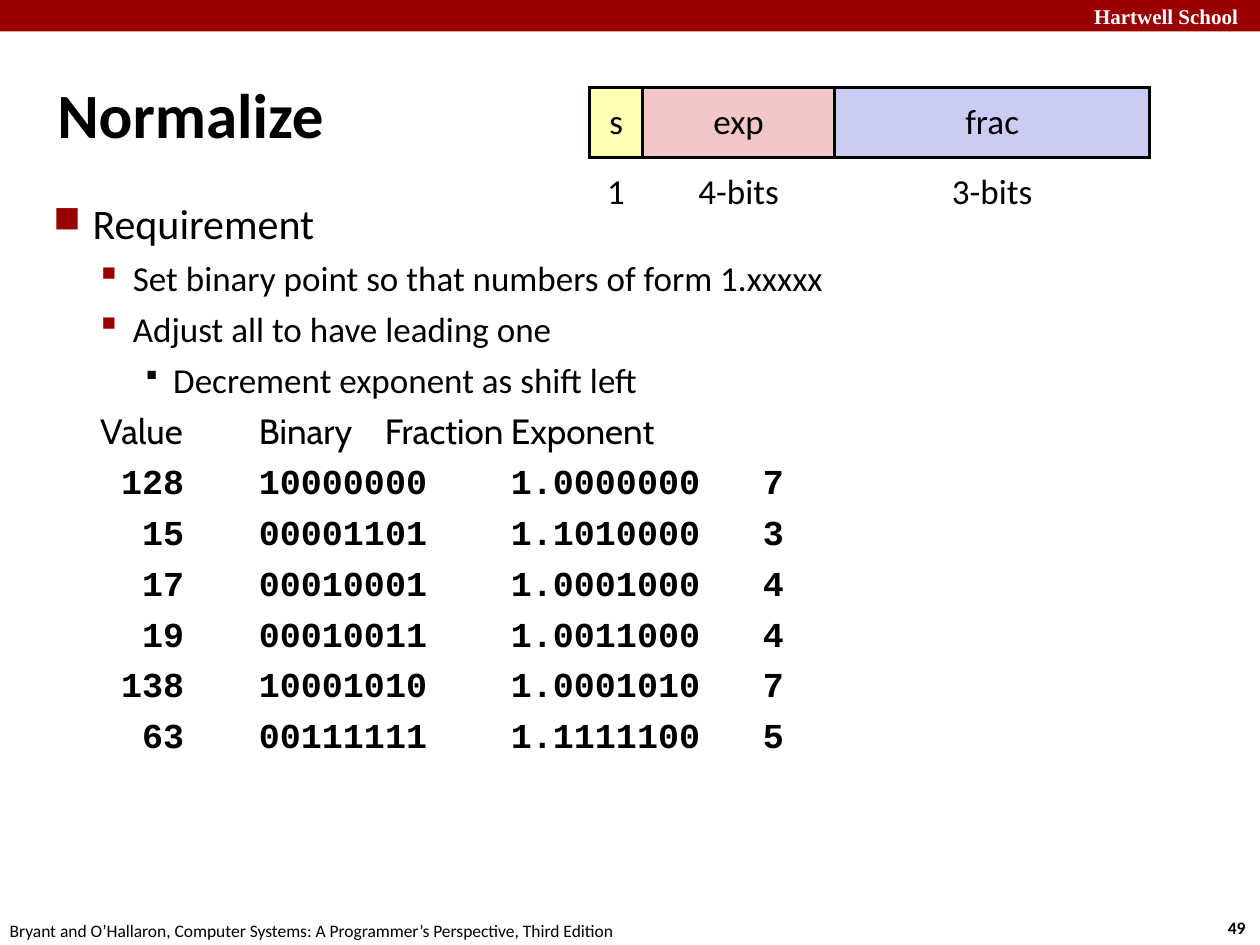
from dataclasses import dataclass
from typing import Optional

from lxml.etree import SubElement
from pptx import Presentation
from pptx.dml.color import RGBColor
from pptx.enum.shapes import MSO_SHAPE
from pptx.enum.text import MSO_ANCHOR, MSO_AUTO_SIZE, PP_ALIGN
from pptx.oxml.ns import qn
from pptx.util import Inches, Pt

WIDE, HIGH = Inches(10), Inches(7.5)
INK = {"black": "000000", "white": "FFFFFF", "red": "990000",
       "sign": "FFFEB2", "exp": "F1C7C7", "frac": "CBCCF3"}


@dataclass
class Box:
    """A place on the slide, in percent of its width and height."""
    left: float
    top: float
    width: float
    height: float

    def place(self) -> tuple:
        return (across(self.left), down(self.top),
                across(self.width), down(self.height))


@dataclass
class Style:
    size: float
    font: str = "Calibri"
    bold: bool = False
    ink: str = "black"


@dataclass
class Bullet:
    """A square mark; the symbol font decides how its char looks."""
    char: str
    font: str
    ink: str
    size: int


@dataclass
class Level:
    margin: float
    hang: float
    before: float
    bullet: Optional[Bullet] = None


@dataclass
class Field:
    name: str
    bits: str
    width: float
    fill: str


BODY = Style(20)
HEAD = Style(20, "Cabin")
CODE = Style(20, "Courier New", True)
TOP = Level(0.28, 0.28, 6, Bullet("¢", "Wingdings 2", "red", 60))
SUB = Level(0.6, 0.26, 5, Bullet("§", "Wingdings", "red", 110))
DEEP = Level(0.92, 0.22, 5, Bullet("§", "Wingdings", "black", 80))
PLAIN = Level(0.6, 0.26, 5)

POINTS = [
    ("Requirement", TOP, Style(24)),
    ("Set binary point so that numbers of form 1.xxxxx", SUB, BODY),
    ("Adjust all to have leading one", SUB, BODY),
    ("Decrement exponent as shift left", DEEP, BODY),
    ("Value\tBinary\tFraction\tExponent", PLAIN, HEAD),
]
VALUES = [
    (128, "10000000", "1.0000000", 7),
    (15, "00001101", "1.1010000", 3),
    (17, "00010001", "1.0001000", 4),
    (19, "00010011", "1.0011000", 4),
    (138, "10001010", "1.0001010", 7),
    (63, "00111111", "1.1111100", 5),
]
FIELDS = [
    Field("s", "1", 4.2, "sign"),
    Field("exp", "4-bits", 15.25, "exp"),
    Field("frac", "3-bits", 25, "frac"),
]


def across(share: float) -> int:
    return round(WIDE * share / 100)


def down(share: float) -> int:
    return round(HIGH * share / 100)


def color(name: str) -> RGBColor:
    return RGBColor.from_string(INK[name])


def write(para, text: str, style: Style, align=PP_ALIGN.LEFT) -> None:
    para.text = text
    para.alignment = align
    for run in para.runs:
        font = run.font
        font.name, font.size, font.bold = style.font, Pt(style.size), style.bold
        font.color.rgb = color(style.ink)


def indent(para, level: Level) -> None:
    """Set margin, hang, one-inch tab steps and the bullet."""
    para.space_before = Pt(level.before)
    props = para._p.get_or_add_pPr()
    props.set("marL", str(Inches(level.margin)))
    props.set("indent", str(-Inches(level.hang)))
    props.set("defTabSz", str(Inches(1)))
    mark = level.bullet
    if mark:
        tint = SubElement(props, qn("a:buClr"))
        SubElement(tint, qn("a:srgbClr"), val=INK[mark.ink])
        SubElement(props, qn("a:buSzPct"), val=str(mark.size * 1000))
        SubElement(props, qn("a:buFont"), typeface=mark.font, charset="2")
        SubElement(props, qn("a:buChar"), char=mark.char)


def add_frame(slide, box: Box, inset: Optional[float] = None):
    """Add a text box; one with an inset wraps, any other fits its text."""
    frame = slide.shapes.add_textbox(*box.place()).text_frame
    frame.word_wrap = inset is not None
    if inset is None:
        frame.auto_size = MSO_AUTO_SIZE.SHAPE_TO_FIT_TEXT
    else:
        frame.margin_left = frame.margin_right = Inches(inset)
        frame.margin_top = frame.margin_bottom = Inches(inset)
    return frame


def add_label(slide, box: Box, text: str, style: Style, align) -> None:
    write(add_frame(slide, box).paragraphs[0], text, style, align)


def add_band(slide) -> None:
    band = slide.shapes.add_shape(MSO_SHAPE.RECTANGLE, *Box(0, 0, 100, 3.33).place())
    band.shadow.inherit = False
    band.fill.solid()
    band.fill.fore_color.rgb = color("red")
    band.line.fill.background()


def add_title(slide) -> None:
    frame = add_frame(slide, Box(4.15, 3.67, 91.7, 16.67), 0.04)
    frame.vertical_anchor = MSO_ANCHOR.MIDDLE
    write(frame.paragraphs[0], "Normalize", Style(36, bold=True))


def add_body(slide) -> None:
    frame = add_frame(slide, Box(4.15, 20.4, 91.7, 79.2), 0.04)
    rows = [(f"{value:>4}\t{binary}\t{fraction}\t{power}", PLAIN, CODE)
            for value, binary, fraction, power in VALUES]
    for at, (text, level, style) in enumerate(POINTS + rows):
        para = frame.add_paragraph() if at else frame.paragraphs[0]
        write(para, text, style)
        indent(para, level)


def edge(cell, sides: str) -> None:
    """Draw the named sides (of L, R, T, B) and clear the others."""
    props = cell._tc.get_or_add_tcPr()
    for at, side in enumerate("LRTB"):
        line = props.makeelement(qn(f"a:ln{side}"), {"w": str(Pt(2))})
        props.insert(at, line)
        if side in sides:
            fill = SubElement(line, qn("a:solidFill"))
            SubElement(fill, qn("a:srgbClr"), val=INK["black"])
        else:
            SubElement(line, qn("a:noFill"))


def add_format(slide) -> None:
    """Add the table of bit fields with their widths below."""
    row = 7.43
    box = Box(46.8, 9.25, sum(field.width for field in FIELDS), 2 * row)
    table = slide.shapes.add_table(2, len(FIELDS), *box.place()).table
    table.first_row = table.horz_banding = False
    for line in table.rows:
        line.height = down(row)
    for col, field in enumerate(FIELDS):
        table.columns[col].width = across(field.width)
        for at, (text, sides) in enumerate([(field.name, "LRTB"), (field.bits, "T")]):
            cell = table.cell(at, col)
            cell.vertical_anchor = MSO_ANCHOR.MIDDLE
            cell.margin_left = cell.margin_right = Inches(0.06)
            cell.margin_top = cell.margin_bottom = Inches(0.06)
            write(cell.text_frame.paragraphs[0], text, BODY, PP_ALIGN.CENTER)
            if at:
                cell.fill.background()
            else:
                cell.fill.solid()
                cell.fill.fore_color.rgb = color(field.fill)
            edge(cell, sides)


def main() -> None:
    deck = Presentation()
    deck.slide_width, deck.slide_height = WIDE, HIGH
    slide = deck.slides.add_slide(deck.slide_layouts[6])
    add_label(slide, Box(96.3, 96.4, 3.7, 3.6), "49",
              Style(10, bold=True), PP_ALIGN.CENTER)
    add_label(slide, Box(-0.7, 96.67, 50.8, 3.6),
              "Bryant and O’Hallaron, Computer Systems: "
              "A Programmer’s Perspective, Third Edition",
              Style(10), PP_ALIGN.CENTER)
    add_band(slide)
    add_label(slide, Box(85.85, -0.27, 13.9, 4), "Hartwell School",
              Style(12, "Times New Roman", True, "white"), PP_ALIGN.LEFT)
    add_title(slide)
    add_body(slide)
    add_format(slide)
    deck.save("out.pptx")


if __name__ == "__main__":
    main()
